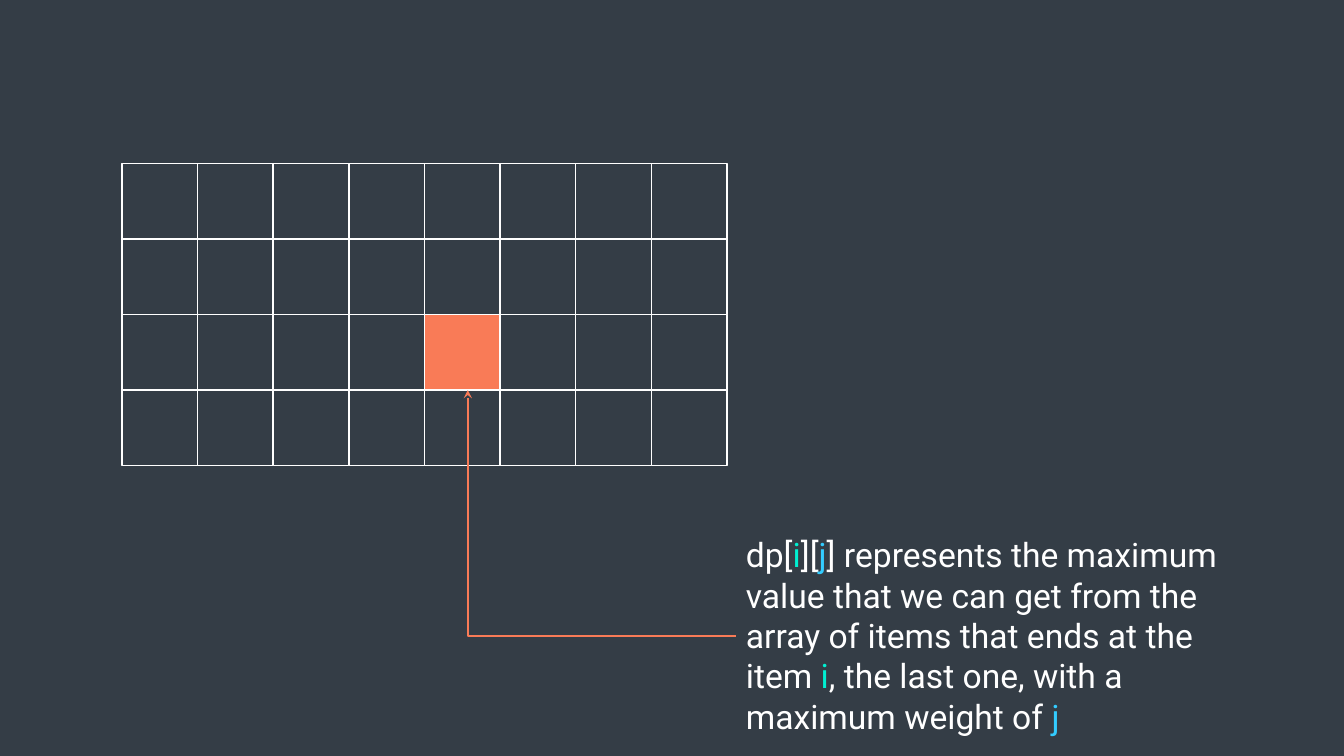
from dataclasses import dataclass
from itertools import product

from lxml.etree import SubElement
from pptx import Presentation
from pptx.dml.color import RGBColor as RGB
from pptx.enum.shapes import MSO_CONNECTOR as CONN, MSO_SHAPE as SHAPE
from pptx.enum.text import MSO_AUTO_SIZE as AUTO
from pptx.oxml.ns import qn
from pptx.shapes.connector import Connector
from pptx.slide import Slide
from pptx.util import Inches, Pt


@dataclass(frozen=True)
class Theme:
    background: RGB = RGB(0x34, 0x3D, 0x46)
    text: RGB = RGB(0xFF, 0xFF, 0xFF)
    accent: RGB = RGB(0xF9, 0x7B, 0x57)
    row_index: RGB = RGB(0x00, 0xEF, 0xD1)
    col_index: RGB = RGB(0x33, 0xCC, 0xFF)
    font: str = "Roboto"
    size: int = 24
    grid_width: float = 1
    arrow_width: float = 1.5


@dataclass(frozen=True)
class Grid:
    left: float
    top: float
    cell: float
    rows: int
    cols: int
    marked: tuple[int, int]


@dataclass(frozen=True)
class Box:
    left: float
    top: float
    width: float
    height: float


@dataclass(frozen=True)
class Span:
    text: str
    color: RGB


THEME = Theme()
DP_GRID = Grid(1.21, 1.62, 0.75, rows=4, cols=8, marked=(2, 4))
CAPTION_BOX = Box(7.3, 5.25, 5.12, 2.12)
CAPTION = [
    Span("dp[", THEME.text),
    Span("i", THEME.row_index),
    Span("][", THEME.text),
    Span("j", THEME.col_index),
    Span("] represents the maximum value that we can get from the array "
         "of items that ends at the item ", THEME.text),
    Span("i", THEME.row_index),
    Span(", the last one, with a maximum weight of ", THEME.text),
    Span("j", THEME.col_index),
]


def draw_grid(s: Slide, grid: Grid) -> None:
    side = Inches(grid.cell)
    for row, col in product(range(grid.rows), range(grid.cols)):
        sp = s.shapes.add_shape(
            SHAPE.RECTANGLE,
            Inches(grid.left + col * grid.cell),
            Inches(grid.top + row * grid.cell),
            side, side)
        sp.shadow.inherit = False
        sp.fill.solid()
        marked = (row, col) == grid.marked
        sp.fill.fore_color.rgb = THEME.accent if marked else THEME.background
        sp.line.color.rgb = THEME.text
        sp.line.width = Pt(THEME.grid_width)


def draw_caption(s: Slide, box: Box, spans: list[Span]) -> None:
    sp = s.shapes.add_textbox(Inches(box.left), Inches(box.top),
                              Inches(box.width), Inches(box.height))
    tf = sp.text_frame
    tf.word_wrap = True
    tf.auto_size = AUTO.SHAPE_TO_FIT_TEXT
    p = tf.paragraphs[0]
    for span in spans:
        r = p.add_run()
        r.text = span.text
        r.font.name = THEME.font
        r.font.size = Pt(THEME.size)
        r.font.color.rgb = span.color


def draw_arrow(s: Slide, start: tuple[float, float],
               end: tuple[float, float]) -> Connector:
    arrow = s.shapes.add_connector(CONN.ELBOW, *map(Inches, start + end))
    arrow.line.color.rgb = THEME.accent
    arrow.line.width = Pt(THEME.arrow_width)
    sp_pr = arrow.element.spPr
    bend = sp_pr.find(qn("a:prstGeom")).find(qn("a:avLst"))
    SubElement(bend, qn("a:gd"), name="adj1", fmla="val 100000")
    SubElement(sp_pr.find(qn("a:ln")), qn("a:tailEnd"), type="stealth")
    SubElement(sp_pr, qn("a:effectLst"))
    return arrow


def main() -> None:
    prs = Presentation()
    prs.slide_width = Inches(13.33)
    prs.slide_height = Inches(7.5)
    s = prs.slides.add_slide(prs.slide_layouts[6])
    s.background.fill.solid()
    s.background.fill.fore_color.rgb = THEME.background

    draw_grid(s, DP_GRID)
    draw_caption(s, CAPTION_BOX, CAPTION)
    caption_middle = CAPTION_BOX.top + CAPTION_BOX.height / 2
    marked_bottom = DP_GRID.top + (DP_GRID.marked[0] + 1) * DP_GRID.cell
    draw_arrow(s, (CAPTION_BOX.left, caption_middle), (4.64, marked_bottom))
    prs.save("out.pptx")


if __name__ == "__main__":
    main()
